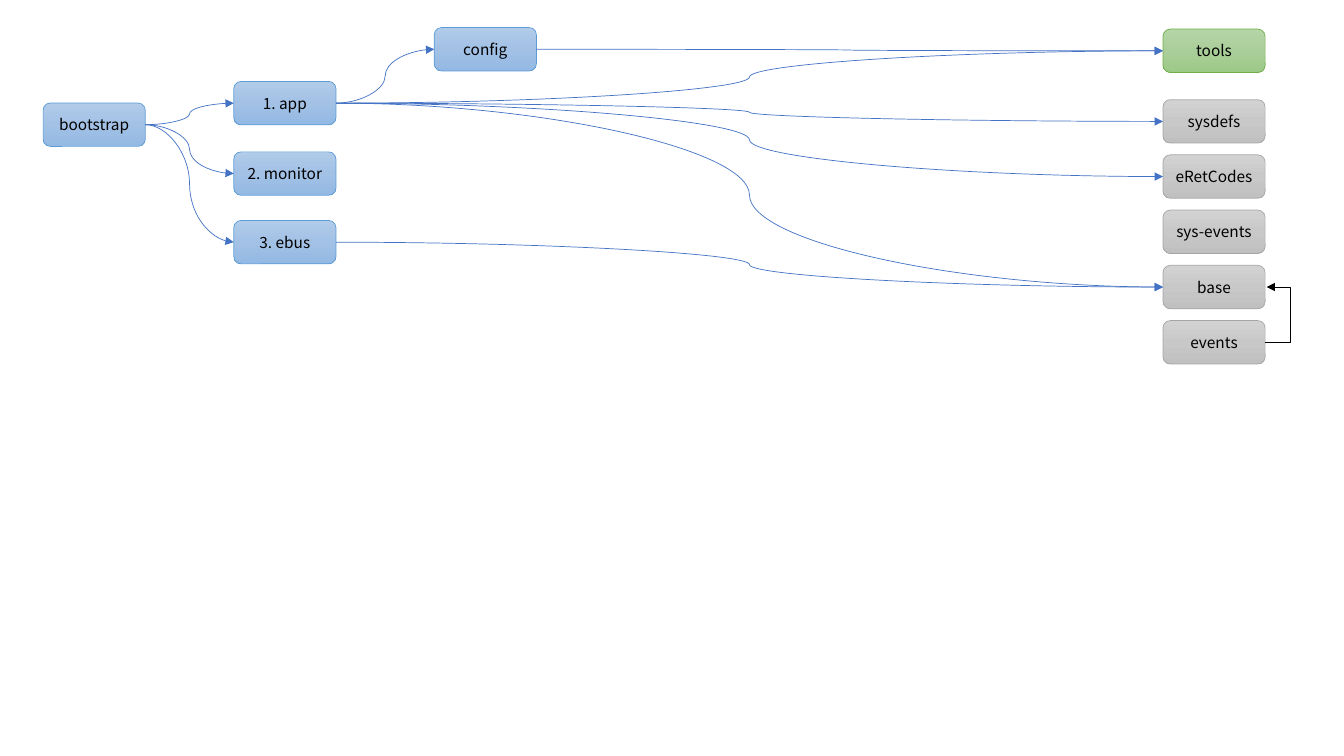
from copy import deepcopy
from dataclasses import dataclass

from pptx import Presentation
from pptx.dml.color import RGBColor
from pptx.enum.shapes import MSO_CONNECTOR, MSO_SHAPE
from pptx.enum.text import MSO_ANCHOR, PP_ALIGN
from pptx.oxml.ns import qn
from pptx.oxml.xmlchemy import OxmlElement
from pptx.shapes.autoshape import Shape
from pptx.shapes.connector import Connector
from pptx.slide import Slide
from pptx.util import Pt

COLORS = {"text": "000000", "link": "4472C4", "loop": "000000"}
LINES = {"blue": "5B9BD5", "gray": "A5A5A5", "green": "70AD47"}
GRADIENTS = {
    "blue": ("B1CBE9", "A3C1E5", "93B9E4"),
    "gray": ("D2D2D2", "C8C8C8", "C0C0C0"),
    "green": ("B5D5A7", "AACE9A", "9CC987"),
}
BOX_W, BOX_H = 73, 31
RIGHT_X = 830.7
MODULE_TOP, MODULE_STEP = 71.2, 39.45
LINE_W = 0.5
TOP, LEFT, BOTTOM, RIGHT = range(4)

FONT_FORMAT = {"name": "Noto Sans CJK SC", "size": Pt(11)}
FRAME_FORMAT = {
    "word_wrap": True,
    "vertical_anchor": MSO_ANCHOR.MIDDLE,
    "margin_left": Pt(0),
    "margin_right": Pt(0),
}


@dataclass(frozen=True)
class Box:
    text: str
    x: float
    y: float
    style: str = "blue"


@dataclass(frozen=True)
class Link:
    source: str
    target: str


MODULES = ("sysdefs", "eRetCodes", "sys-events", "base", "events")
BOXES = [
    Box("bootstrap", 30.8, 73.6),
    Box("1. app", 167, 58.2),
    Box("2. monitor", 167, 108.5),
    Box("3. ebus", 167, 157.5),
    Box("config", 310.2, 19.7),
    Box("tools", RIGHT_X, 20.8, "green"),
] + [
    Box(name, RIGHT_X, MODULE_TOP + i * MODULE_STEP, "gray")
    for i, name in enumerate(MODULES)
]
LINKS = [
    Link("bootstrap", "1. app"),
    Link("bootstrap", "2. monitor"),
    Link("bootstrap", "3. ebus"),
    Link("1. app", "config"),
    Link("1. app", "sysdefs"),
    Link("1. app", "eRetCodes"),
    Link("1. app", "tools"),
    Link("1. app", "base"),
    Link("config", "tools"),
    Link("3. ebus", "base"),
]


def apply_format(target: object, values: dict) -> None:
    for name, value in values.items():
        setattr(target, name, value)


def fill_gradient(sp: Shape, colors: tuple[str, ...]) -> None:
    """Fill from top to bottom with three evenly spaced colours."""
    sp.fill.gradient()
    sp.fill.gradient_angle = 270
    stop_list = sp._element.spPr.find(".//" + qn("a:gsLst"))
    stop_list.insert(1, deepcopy(stop_list[0]))
    for i, (stop, color) in enumerate(zip(sp.fill.gradient_stops, colors)):
        stop.position = i / 2
        stop.color.rgb = RGBColor.from_string(color)


def add_box(s: Slide, box: Box) -> Shape:
    sp = s.shapes.add_shape(
        MSO_SHAPE.ROUNDED_RECTANGLE, Pt(box.x), Pt(box.y), Pt(BOX_W), Pt(BOX_H)
    )
    sp.shadow.inherit = False
    fill_gradient(sp, GRADIENTS[box.style])
    sp.line.color.rgb = RGBColor.from_string(LINES[box.style])
    sp.line.width = Pt(LINE_W)
    tf = sp.text_frame
    apply_format(tf, FRAME_FORMAT)
    p = tf.paragraphs[0]
    p.alignment = PP_ALIGN.CENTER
    r = p.add_run()
    r.text = box.text
    apply_format(r.font, FONT_FORMAT)
    r.font.color.rgb = RGBColor.from_string(COLORS["text"])
    return sp


def style_arrow(cxn: Connector, color: str) -> None:
    cxn.line.color.rgb = RGBColor.from_string(color)
    cxn.line.width = Pt(LINE_W)
    head = OxmlElement("a:tailEnd")
    head.set("type", "triangle")
    cxn.line._get_or_add_ln().append(head)
    cxn._element.spPr.append(OxmlElement("a:effectLst"))


def add_link(s: Slide, source: Shape, target: Shape) -> None:
    cxn = s.shapes.add_connector(
        MSO_CONNECTOR.CURVE,
        source.left + source.width,
        source.top + source.height // 2,
        target.left,
        target.top + target.height // 2,
    )
    cxn.begin_connect(source, RIGHT)
    cxn.end_connect(target, LEFT)
    style_arrow(cxn, COLORS["link"])


def add_loop(s: Slide, source: Shape, target: Shape) -> None:
    """Draw the elbow arrow that runs outside the right-hand sides."""
    gap, reach = Pt(1), Pt(18)
    right = source.left + source.width
    cxn = s.shapes.add_connector(
        MSO_CONNECTOR.ELBOW,
        right,
        source.top + source.height // 2,
        right + gap,
        target.top + target.height // 2,
    )
    guide = OxmlElement("a:gd")
    guide.set("name", "adj1")
    guide.set("fmla", f"val {reach * 100000 // gap}")
    geometry = cxn._element.spPr.find(qn("a:prstGeom"))
    guides = geometry.find(qn("a:avLst"))
    if guides is None:
        guides = OxmlElement("a:avLst")
        geometry.append(guides)
    guides.append(guide)
    style_arrow(cxn, COLORS["loop"])


def main() -> None:
    prs = Presentation()
    prs.slide_width, prs.slide_height = Pt(960), Pt(540)
    s = prs.slides.add_slide(prs.slide_layouts[6])
    shapes = {box.text: add_box(s, box) for box in BOXES}
    for link in LINKS:
        add_link(s, shapes[link.source], shapes[link.target])
    add_loop(s, shapes["events"], shapes["base"])
    prs.save("out.pptx")


if __name__ == "__main__":
    main()
